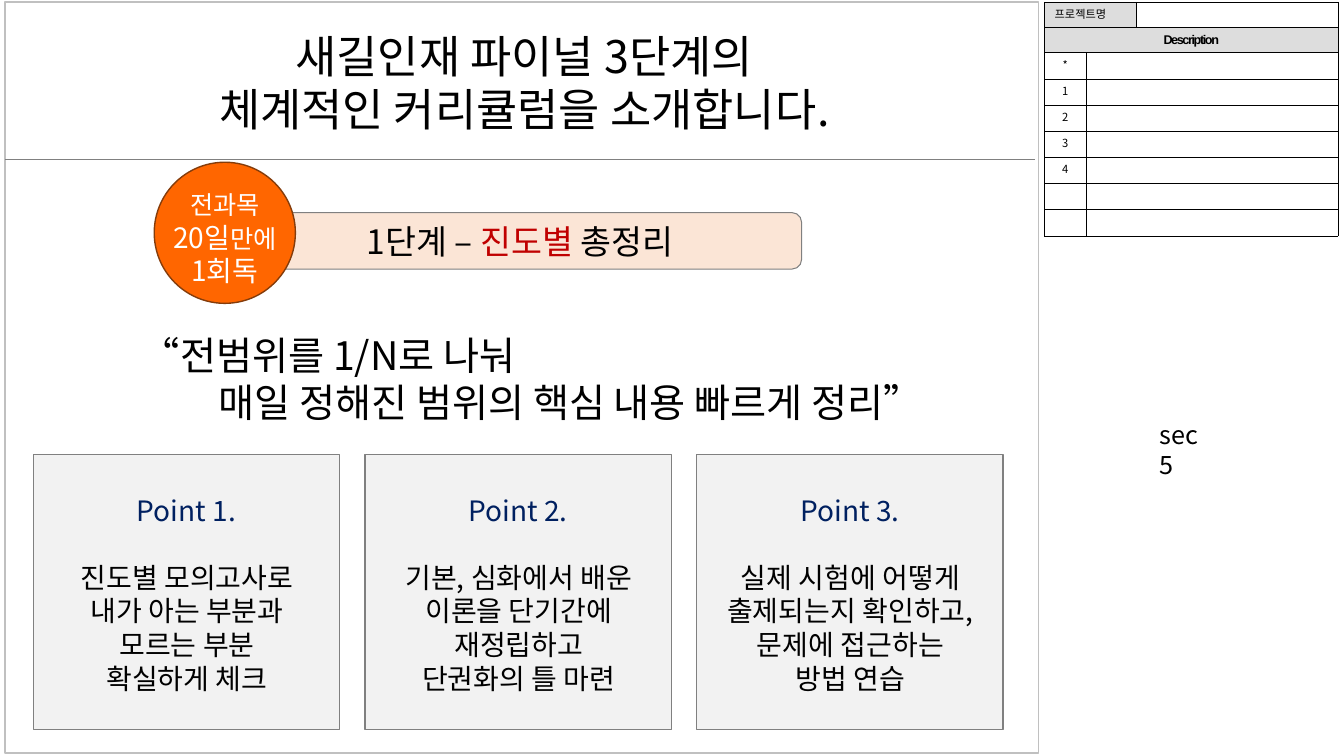
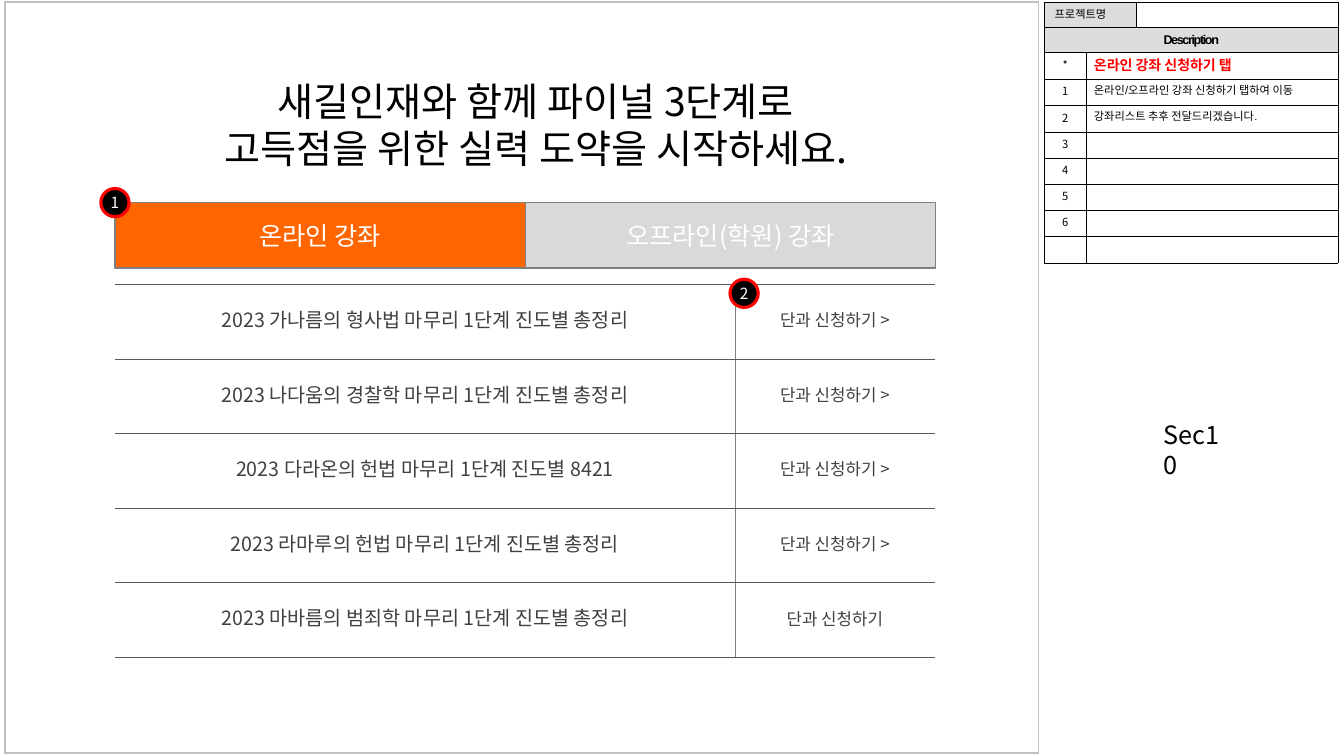
from dataclasses import dataclass

from lxml import etree
from pptx import Presentation
from pptx.dml.color import RGBColor
from pptx.enum.shapes import MSO_CONNECTOR, MSO_SHAPE
from pptx.enum.text import MSO_ANCHOR, MSO_AUTO_SIZE, PP_ALIGN
from pptx.oxml.ns import qn
from pptx.util import Inches, Pt

LEFT, CENTER, RIGHT = PP_ALIGN.LEFT, PP_ALIGN.CENTER, PP_ALIGN.RIGHT
TOP, MIDDLE = MSO_ANCHOR.TOP, MSO_ANCHOR.MIDDLE
RECTANGLE, ROUNDED, OVAL = MSO_SHAPE.RECTANGLE, MSO_SHAPE.ROUNDED_RECTANGLE, MSO_SHAPE.OVAL


@dataclass(frozen=True)
class Theme:
    font: str = "Noto Sans CJK KR"
    label_font: str = "Arial"
    black: str = "000000"
    white: str = "FFFFFF"
    red: str = "FF0000"
    crimson: str = "C00000"
    navy: str = "002060"
    orange: str = "FF6600"
    brown: str = "843C0B"
    peach: str = "FBE5D6"
    frame: str = "C0C0C0"
    edge: str = "808080"
    rule: str = "595959"
    body: str = "404040"
    card: str = "F2F2F2"
    idle: str = "D9D9D9"
    header: str = "DDDDDD"
    hero: int = 32
    title: int = 28
    banner: int = 24
    text: int = 20
    label: int = 18
    course: int = 14
    action: int = 12
    marker: int = 11
    note: int = 8
    leading: float = 1.2


THEME = Theme()

# Content
INTRO_TITLE = ["새길인재 파이널 3단계의", "체계적인 커리큘럼을 소개합니다."]
STAGE = [[("1단계 – ", {}), ("진도별", {"color": THEME.crimson}), (" 총정리", {})]]
BADGE = [
    [("전과목", {"size": THEME.label})],
    [("20일", {}), ("만에", {"size": THEME.label})],
    "1회독",
]
QUOTE = ["“전범위를 1/N로 나눠", "매일 정해진 범위의 핵심 내용 빠르게 정리”"]
POINTS = [
    ("Point 1.", ["진도별 모의고사로", "내가 아는 부분과", "모르는 부분", "확실하게 체크"]),
    ("Point 2.", ["기본, 심화에서 배운", "이론을 단기간에", "재정립하고", "단권화의 틀 마련"]),
    ("Point 3.", ["실제 시험에 어떻게", "출제되는지 확인하고,", "문제에 접근하는", "방법 연습"]),
]
INTRO_NOTES = [("*", ""), ("1", ""), ("2", ""), ("3", ""), ("4", ""), ("", ""), ("", "")]

APPLY_TITLE = ["새길인재와 함께 파이널 3단계로", "고득점을 위한 실력 도약을 시작하세요."]
TABS = [("온라인 강좌", THEME.orange), ("오프라인(학원) 강좌", THEME.idle)]
COURSES = [
    ("2023 가나름의 형사법 마무리 1단계 진도별 총정리", "단과 신청하기 >"),
    ("2023 나다움의 경찰학 마무리 1단계 진도별 총정리", "단과 신청하기 >"),
    ("2023 다라온의 헌법 마무리 1단계 진도별 8421", "단과 신청하기 >"),
    ("2023 라마루의 헌법 마무리 1단계 진도별 총정리", "단과 신청하기 >"),
    ("2023 마바름의 범죄학 마무리 1단계 진도별 총정리", "단과 신청하기"),
]
MARKERS = [("1", 1.0, 1.87), ("2", 7.24, 2.77)]
APPLY_NOTES = [
    ("*", "온라인 강좌 신청하기 탭"),
    ("1", "온라인/오프라인 강좌 신청하기 탭하여 이동"),
    ("2", "강좌리스트 추후 전달드리겠습니다."),
    ("3", ""), ("4", ""), ("5", ""), ("6", ""), ("", ""),
]


# Text
def write(frame, lines, size, color=THEME.black, align=CENTER, anchor=TOP,
          font=THEME.font, bold=False, spacing=0, last_align=None):
    """Each line is a string or a list of (text, overrides) spans."""
    settings = {"word_wrap": True, "auto_size": MSO_AUTO_SIZE.NONE, "vertical_anchor": anchor}
    for name, value in settings.items():
        setattr(frame, name, value)
    for index, line in enumerate(lines):
        para = frame.paragraphs[0] if index == 0 else frame.add_paragraph()
        para.alignment = last_align if last_align and index == len(lines) - 1 else align
        para.line_spacing = Pt(round(size * THEME.leading, 1))
        for text, changes in [(line, {})] if isinstance(line, str) else line:
            span = para.add_run()
            span.text = text
            looks = {"name": font, "size": Pt(changes.get("size", size)), "bold": bold}
            for name, value in looks.items():
                setattr(span.font, name, value)
            span.font.color.rgb = RGBColor.from_string(changes.get("color", color))
            properties = span._r.get_or_add_rPr()
            if spacing:
                properties.set("spc", str(spacing))
            east_asian = etree.Element(qn("a:ea"), typeface=THEME.font)
            properties.find(qn("a:latin")).addnext(east_asian)


def add_text(page, place, lines, size, **looks):
    box = page.shapes.add_textbox(*map(Inches, place))
    write(box.text_frame, lines, size, **looks)


def set_title(page, place, lines, size):
    title = page.shapes.title
    for name, value in zip(("left", "top", "width", "height"), place):
        setattr(title, name, Inches(value))
    write(title.text_frame, lines, size)


# Shapes
def add_box(page, kind, place, fill, line, weight=1.0):
    box = page.shapes.add_shape(kind, *map(Inches, place))
    box.shadow.inherit = False
    if fill:
        box.fill.solid()
        box.fill.fore_color.rgb = RGBColor.from_string(fill)
    else:
        box.fill.background()
    box.line.color.rgb = RGBColor.from_string(line)
    box.line.width = Pt(weight)
    return box


def add_rule(page, start, end):
    rule = page.shapes.add_connector(MSO_CONNECTOR.STRAIGHT, *map(Inches, start + end))
    rule.line.color.rgb = RGBColor.from_string(THEME.edge)
    rule.line.width = Pt(0.5)
    etree.SubElement(rule.element.spPr, qn("a:effectLst"))


# Tables
def add_grid(page, left, top, columns, rows):
    shape = page.shapes.add_table(len(rows), len(columns), *map(
        Inches, (left, top, sum(columns), sum(rows))))
    grid = shape.table
    grid.first_row = grid.horz_banding = False
    for column, width in zip(grid.columns, columns):
        column.width = Inches(width)
    for row, height in zip(grid.rows, rows):
        row.height = Inches(height)
    return grid


def style_cell(cell, fill, borders, weight):
    """Borders maps the sides L, R, T and B to colours; other sides stay open."""
    cell.fill.solid()
    cell.fill.fore_color.rgb = RGBColor.from_string(fill)
    properties = cell._tc.get_or_add_tcPr()
    for index, side in enumerate("LRTB"):
        line = etree.Element(qn(f"a:ln{side}"), w=str(Pt(weight)))
        if side in borders:
            paint = etree.SubElement(line, qn("a:solidFill"))
            etree.SubElement(paint, qn("a:srgbClr"), val=borders[side])
        else:
            etree.SubElement(line, qn("a:noFill"))
        properties.insert(index, line)


def fill_cell(cell, text, size, margin=0.1, **looks):
    cell.margin_left = cell.margin_right = Inches(margin)
    cell.vertical_anchor = looks.get("anchor", MIDDLE)
    if text:
        write(cell.text_frame, [text], size, **{"anchor": MIDDLE, **looks})
    else:
        end = etree.SubElement(cell.text_frame.paragraphs[0]._p, qn("a:endParaRPr"))
        end.set("sz", str(size * 100))


def add_description(page, notes):
    grid = add_grid(page, 10.36, 0.02, [0.41, 0.5, 2.0], [0.25] * 2 + [0.26] * len(notes))
    for row in range(len(notes) + 2):
        for column in range(3):
            shaded = row == 1 or (row == 0 and column < 2)
            cell = grid.cell(row, column)
            style_cell(cell, THEME.header if shaded else THEME.white,
                       dict.fromkeys("LRTB", THEME.black), 0.25)
            fill_cell(cell, "", THEME.note)
    grid.cell(0, 0).merge(grid.cell(0, 1))
    grid.cell(1, 0).merge(grid.cell(1, 2))
    fill_cell(grid.cell(0, 0), "프로젝트명", THEME.note, align=LEFT)
    fill_cell(grid.cell(1, 0), "Description", 9, font=THEME.label_font, bold=True, spacing=-100)
    for row, (mark, note) in enumerate(notes, start=2):
        grid.cell(row, 1).merge(grid.cell(row, 2))
        if mark:
            fill_cell(grid.cell(row, 0), mark, THEME.note, 0.04)
        if note:
            lead = mark == "*"
            fill_cell(grid.cell(row, 1), note, 10 if lead else THEME.note, 0.08,
                      align=LEFT, anchor=TOP, font=THEME.label_font, bold=lead,
                      color=THEME.red if lead else THEME.black)


def add_courses(page, left, top):
    grid = add_grid(page, left, top, [6.15, 1.98], [0.74] * len(COURSES))
    for row, texts in enumerate(COURSES):
        for column, (text, size, side) in enumerate(
                zip(texts, (THEME.course, THEME.action), "RL")):
            cell = grid.cell(row, column)
            style_cell(cell, THEME.white,
                       {"T": THEME.rule, "B": THEME.rule, side: THEME.edge}, 0.5)
            fill_cell(cell, text, size, color=THEME.body)


# Pages
def add_page(deck, layout, notes, section, section_place):
    page = deck.slides.add_slide(layout)
    add_description(page, notes)
    add_text(page, section_place, [section], THEME.label, align=LEFT)
    return page


def build_intro(deck, layout):
    page = add_page(deck, layout, INTRO_NOTES, "sec5", (11.4, 4.11, 0.7, 0.4))
    # The page frame belongs to the layout
    frame = add_box(page, RECTANGLE, (0.05, 0.02, 10.25, 7.45), None, THEME.frame)
    layout.shapes.element.append(frame.element)

    set_title(page, (0.25, 0.23, 9.9, 1.18), INTRO_TITLE, THEME.hero)
    add_rule(page, (0.05, 1.58), (10.27, 1.58))

    # Stage banner and badge
    banner = add_box(page, ROUNDED, (2.37, 2.11, 5.58, 0.56), THEME.peach, THEME.edge, 0.75)
    write(banner.text_frame, STAGE, THEME.banner, anchor=MIDDLE)
    add_box(page, OVAL, (1.53, 1.61, 1.4, 1.4), THEME.orange, THEME.brown)
    add_text(page, (1.48, 1.8, 1.5, 1.08), BADGE, THEME.text, color=THEME.white)
    add_text(page, (1.3, 3.24, 7.95, 1.04), QUOTE, THEME.title, align=LEFT, last_align=RIGHT)

    # Point cards
    width, gap = 3.04, 0.25
    for index, (heading, lines) in enumerate(POINTS):
        left = 0.33 + index * (width + gap)
        add_box(page, RECTANGLE, (left, 4.51, width, 2.73), THEME.card, THEME.edge)
        add_text(page, (left + 0.45, 4.85, 2.14, 0.44), [heading], THEME.text, color=THEME.navy)
        add_text(page, (left + 0.1, 5.51, 2.85, 1.45), lines, THEME.text)


def build_apply(deck, layout):
    page = add_page(deck, layout, APPLY_NOTES, "Sec10", (11.44, 4.11, 0.87, 0.4))
    set_title(page, (1.52, 0.72, 7.59, 1.04), APPLY_TITLE, THEME.title)

    # Tabs above the course list
    left, width = 1.14, 4.07
    for index, (label, fill) in enumerate(TABS):
        tab = add_box(page, RECTANGLE, (left + index * width, 2.01, width, 0.65),
                      fill, THEME.edge)
        write(tab.text_frame, [label], THEME.label, color=THEME.white, anchor=MIDDLE)
    add_courses(page, left, 2.82)

    # Numbered markers
    for number, x, y in MARKERS:
        marker = add_box(page, OVAL, (x, y, 0.28, 0.28), THEME.black, THEME.red, 2.25)
        for side in ("left", "right", "top", "bottom"):
            setattr(marker.text_frame, f"margin_{side}", 0)
        write(marker.text_frame, [number], THEME.marker, color=THEME.white, anchor=MIDDLE)


def main():
    deck = Presentation()
    deck.slide_width, deck.slide_height = Inches(13.33), Inches(7.5)
    layout = deck.slide_layouts.get_by_name("Title Only")
    build_intro(deck, layout)
    build_apply(deck, layout)
    deck.save("out.pptx")


if __name__ == "__main__":
    main()
